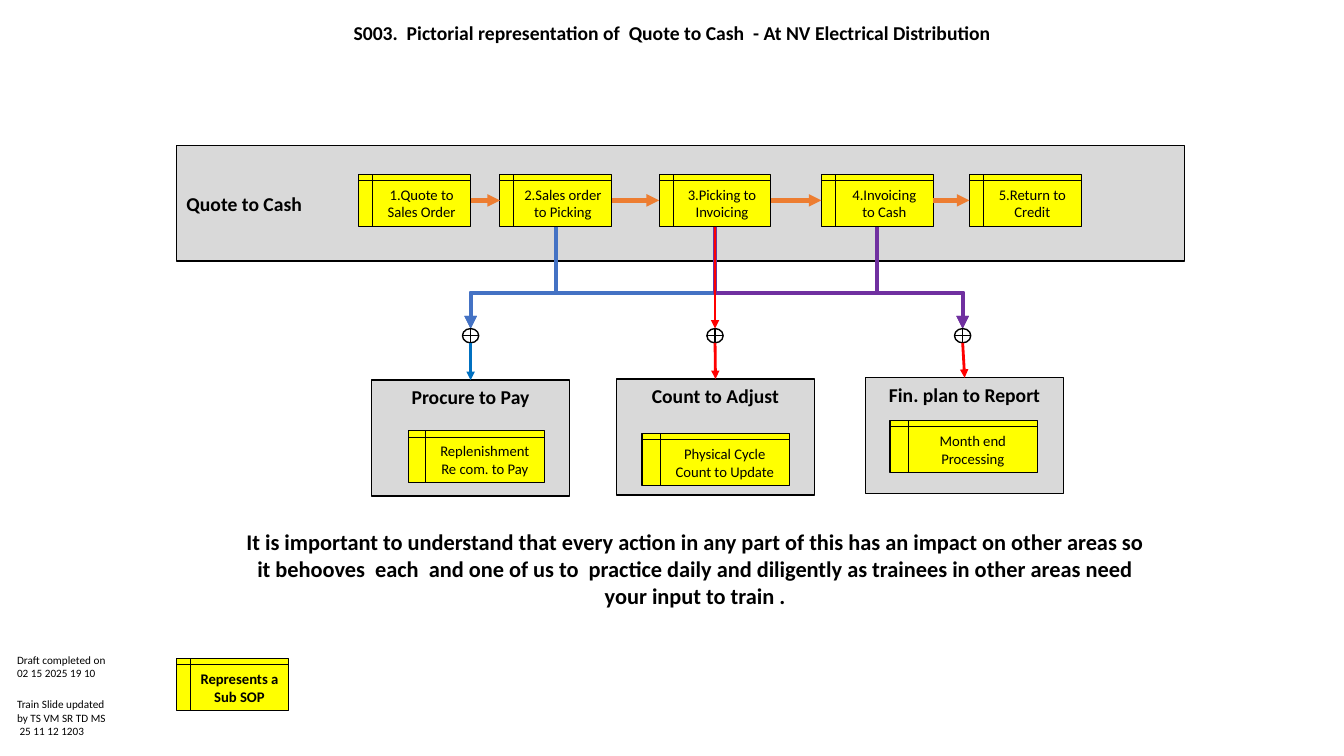
from itertools import pairwise

from lxml import etree
from pptx import Presentation
from pptx.dml.color import RGBColor
from pptx.enum.shapes import MSO_CONNECTOR, MSO_SHAPE
from pptx.enum.text import MSO_ANCHOR, PP_ALIGN
from pptx.oxml.ns import qn
from pptx.util import Cm, Pt

PROCESS = MSO_SHAPE.FLOWCHART_PROCESS
STORAGE = MSO_SHAPE.FLOWCHART_INTERNAL_STORAGE
OR_GATE = MSO_SHAPE.FLOWCHART_OR
STRAIGHT, ELBOW = MSO_CONNECTOR.STRAIGHT, MSO_CONNECTOR.ELBOW
LEFT, CENTER = PP_ALIGN.LEFT, PP_ALIGN.CENTER
TOP, MIDDLE = MSO_ANCHOR.TOP, MSO_ANCHOR.MIDDLE

BLACK = RGBColor(0x00, 0x00, 0x00)
WHITE = RGBColor(0xFF, 0xFF, 0xFF)
GRAY = RGBColor(0xD9, 0xD9, 0xD9)
YELLOW = RGBColor(0xFF, 0xFF, 0x00)
ORANGE = RGBColor(0xED, 0x7D, 0x31)
BLUE = RGBColor(0x44, 0x72, 0xC4)
DEEP_BLUE = RGBColor(0x00, 0x70, 0xC0)
PURPLE = RGBColor(0x70, 0x30, 0xA0)
RED = RGBColor(0xFF, 0x00, 0x00)

SOP_WIDTH, SOP_HEIGHT = 2.82, 1.32
STEP_TOP = 4.39
STEP_BOTTOM = STEP_TOP + SOP_HEIGHT
PANEL_WIDTH, PANEL_HEIGHT = 4.98, 2.92
GATE_TOP, GATE_WIDTH, GATE_HEIGHT = 8.28, 0.41, 0.36
BEND = 0.65

STEPS = [
    (9.04, "1.Quote to Sales Order"),
    (12.6, "2.Sales order to Picking"),
    (16.61, "3.Picking to Invoicing"),
    (20.7, "4.Invoicing to Cash"),
    (24.43, "5.Return to Credit"),
]
# Panel left, top and title; sub SOP left, top, width and text; gate centre, colour
AREAS = [
    (9.37, 9.58, "Procure to Pay", 10.29, 10.85, 3.43,
     "Replenishment Re com. to Pay", 11.86, DEEP_BLUE),
    (15.54, 9.55, "Count to Adjust", 16.18, 10.92, 3.71,
     "Physical Cycle Count to Update", 18.02, RED),
    (21.82, 9.52, "Fin. plan to Report", 22.43, 10.59, 3.71,
     "Month end Processing", 24.26, RED),
]
MESSAGE = (
    "It is important to understand that every action in any part of this has "
    "an impact on other areas so it behooves  each  and one of us to  practice "
    "daily and diligently as trainees in other areas need your input to train ."
)


class FlowSlide:
    def __init__(self, page, font="Calibri"):
        self.shapes = page.shapes
        self.font = font

    def fill_text(self, shape, lines, size, bold=False, align=CENTER, anchor=TOP):
        frame = shape.text_frame
        frame.word_wrap = True
        frame.vertical_anchor = anchor
        frame.text = "\n".join(lines)
        for para in frame.paragraphs:
            para.alignment = align
            para.font.name = self.font
            para.font.size = Pt(size)
            para.font.bold = bold
            para.font.color.rgb = BLACK
        return frame

    def text(self, left, top, width, height, lines, size, **style):
        box = self.shapes.add_textbox(Cm(left), Cm(top), Cm(width), Cm(height))
        return self.fill_text(box, lines, size, **style)

    def shape(self, kind, left, top, width, height, fill, line_width=1):
        shape = self.shapes.add_shape(kind, Cm(left), Cm(top), Cm(width), Cm(height))
        shape.shadow.inherit = False
        shape.fill.solid()
        shape.fill.fore_color.rgb = fill
        shape.line.color.rgb = BLACK
        shape.line.width = Pt(line_width)
        return shape

    def panel(self, left, top, width, title, **style):
        box = self.shape(PROCESS, left, top, width, PANEL_HEIGHT, GRAY)
        self.fill_text(box, [title], 14, bold=True, **style)

    def sop(self, left, top, label, width=SOP_WIDTH, bold=False):
        box = self.shape(STORAGE, left, top, width, SOP_HEIGHT, YELLOW, 0.75)
        self.fill_text(box, [label], 10.5, bold=bold)

    def gate(self, center):
        self.shape(OR_GATE, center - GATE_WIDTH / 2, GATE_TOP,
                   GATE_WIDTH, GATE_HEIGHT, WHITE)

    def arrow(self, x1, y1, x2, y2, color, width=2, kind=STRAIGHT):
        line = self.shapes.add_connector(kind, Cm(x1), Cm(y1), Cm(x2), Cm(y2))
        line.line.color.rgb = color
        line.line.width = Pt(width)
        properties = line._element.spPr
        etree.SubElement(properties.find(qn("a:ln")), qn("a:tailEnd"), type="triangle")
        etree.SubElement(properties, qn("a:effectLst"))
        return line

    def drop(self, x1, y1, x2, y2, color):
        """Elbow arrow that leaves and arrives vertically, turning at BEND."""
        run, fall = abs(x2 - x1), y2 - y1
        left = (x1 + x2 - fall) / 2
        top = (y1 + y2 - run) / 2
        line = self.arrow(left, top, left + fall, top + run, color, 3, ELBOW)
        properties = line._element.spPr
        frame = properties.find(qn("a:xfrm"))
        if x2 < x1:
            frame.set("rot", str(90 * 60000))
        else:
            frame.set("rot", str(270 * 60000))
            frame.set("flipH", "1")
        guides = properties.find(qn("a:prstGeom")).get_or_add_avLst()
        etree.SubElement(guides, qn("a:gd"), name="adj1",
                         fmla=f"val {round(BEND * 100000)}")


def main():
    deck = Presentation()
    deck.slide_width, deck.slide_height = Cm(33.87), Cm(19.05)
    slide = FlowSlide(deck.slides.add_slide(deck.slide_layouts[6]))

    title = slide.text(
        2.34, 0.46, 29.21, 0.74,
        ["S003.  Pictorial representation of  Quote to Cash  - At NV Electrical Distribution"],
        14, bold=True)
    title.paragraphs[0].line_spacing = 0.9
    slide.text(5.77, 13.18, 23.5, 2.31, [MESSAGE], 16, bold=True)
    slide.text(0.18, 16.33, 2.8, 0.94, ["Draft completed on 02 15 2025 19 10"],
               8, align=LEFT)
    slide.text(0.18, 17.45, 2.8, 1.27,
               ["Train Slide updated by TS VM SR TD MS", " 25 11 12 1203"],
               8, align=LEFT)
    slide.sop(4.45, 16.59, "Represents a Sub SOP", bold=True)

    slide.panel(4.45, 3.66, 25.4, "Quote to Cash", align=LEFT, anchor=MIDDLE)
    for left, label in STEPS:
        slide.sop(left, STEP_TOP, label)
    for left, top, name, sop_left, sop_top, sop_width, label, _, _ in AREAS:
        slide.panel(left, top, PANEL_WIDTH, name)
        slide.sop(sop_left, sop_top, label, sop_width)

    _, order, picking, invoicing, _ = [left + SOP_WIDTH / 2 for left, _ in STEPS]
    procure, count, report = [area[7] for area in AREAS]
    for start, end, color in [
        (order, procure, BLUE),
        (picking, procure, BLUE),
        (picking, report, PURPLE),
        (invoicing, report, PURPLE),
    ]:
        slide.drop(start, STEP_BOTTOM, end, GATE_TOP, color)

    middle = STEP_TOP + SOP_HEIGHT / 2
    for (left, _), (following, _) in pairwise(STEPS):
        slide.arrow(left + SOP_WIDTH, middle, following, middle, ORANGE, 3)

    for left, top, _, _, _, _, _, center, color in AREAS:
        slide.gate(center)
        slide.arrow(center, GATE_TOP + GATE_HEIGHT, left + PANEL_WIDTH / 2, top, color)
    slide.arrow(picking, STEP_BOTTOM, count, GATE_TOP, RED)

    deck.save("out.pptx")


if __name__ == "__main__":
    main()
